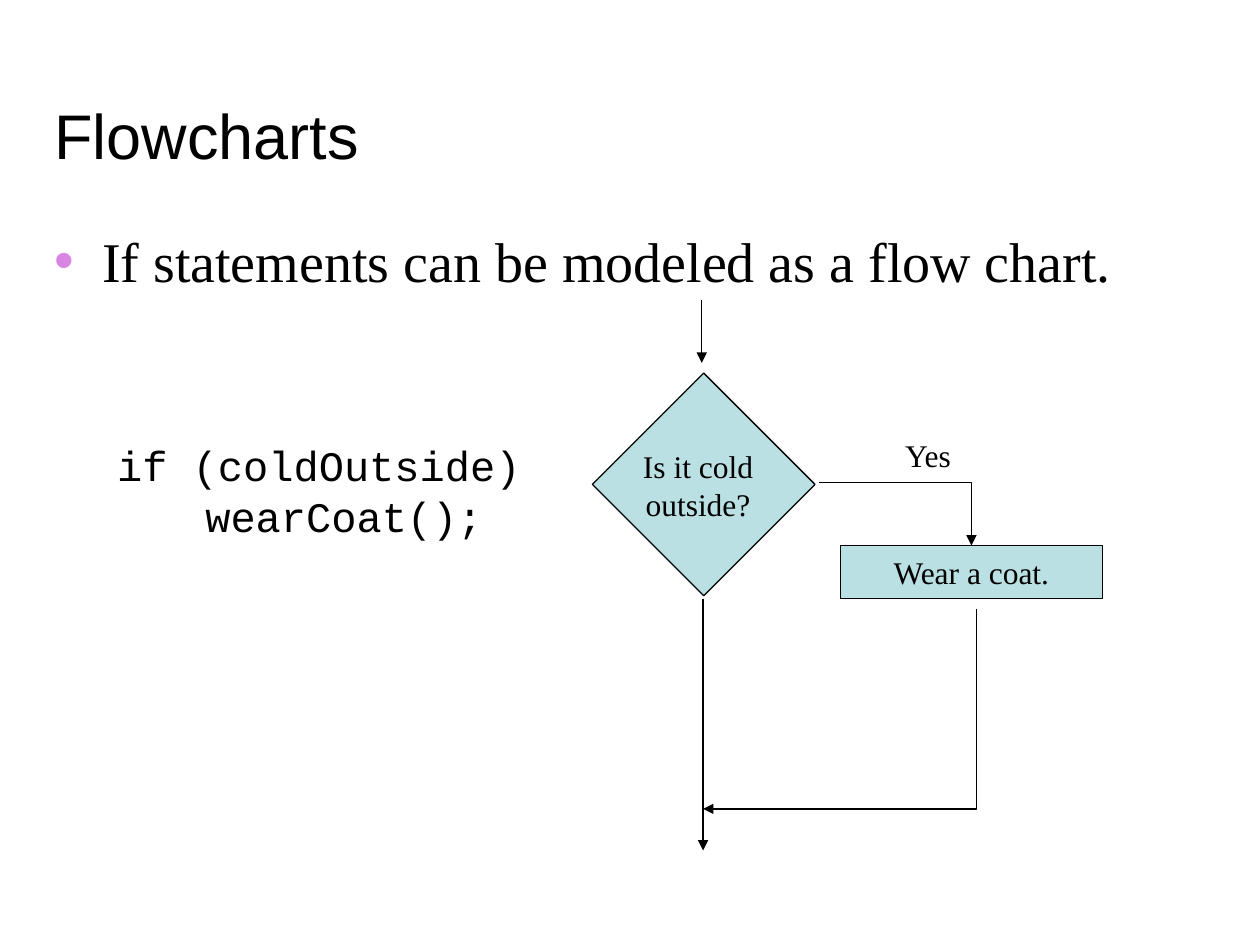
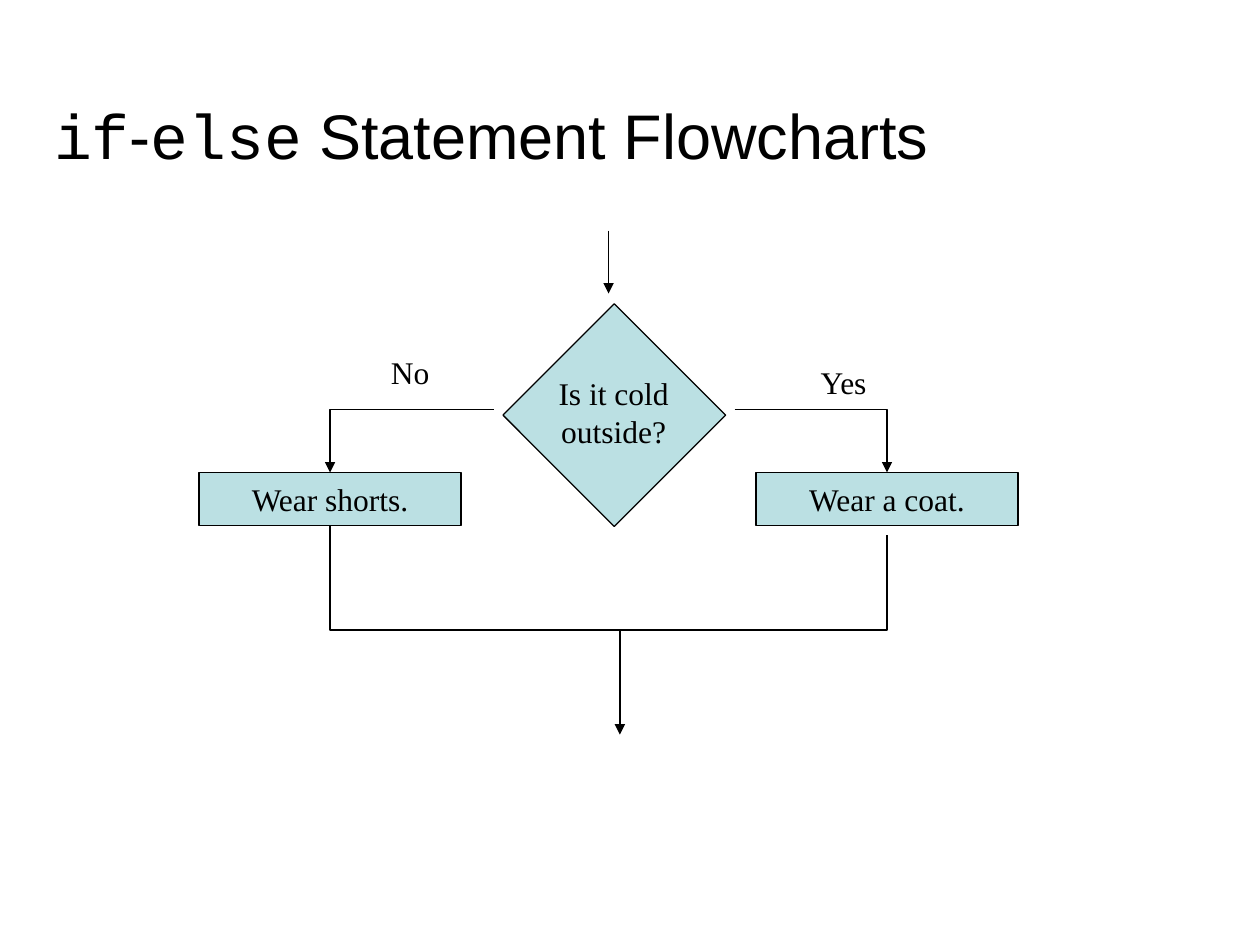
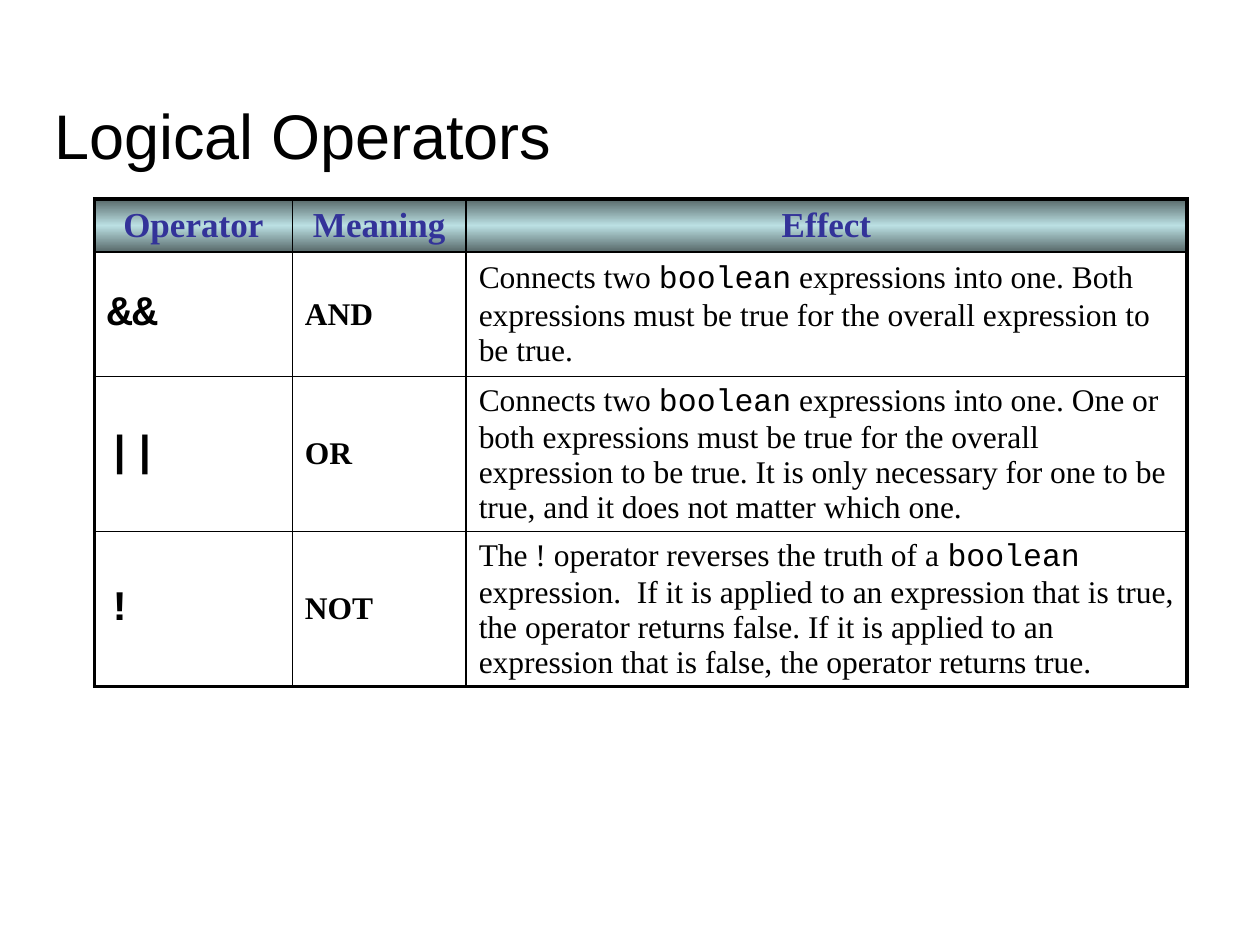
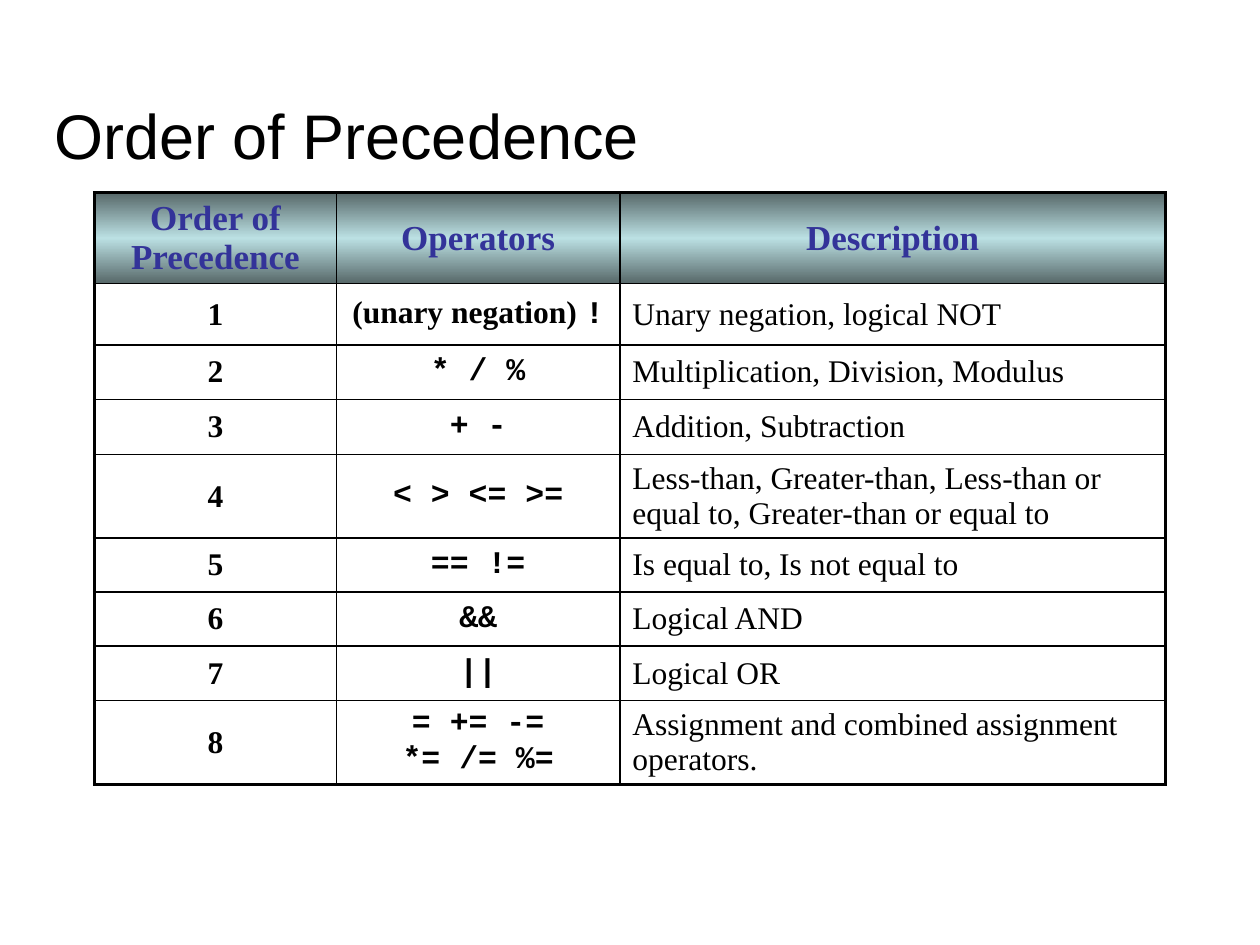
from lxml.etree import SubElement
from pptx import Presentation
from pptx.dml.color import RGBColor
from pptx.enum.shapes import MSO_CONNECTOR, MSO_SHAPE
from pptx.enum.text import MSO_ANCHOR, MSO_AUTO_SIZE, PP_ALIGN
from pptx.oxml.ns import qn
from pptx.util import Inches, Pt

COLORS = {
    "ink": "000000",
    "box": "BBE0E3",
    "box_shade": "576869",
    "heading": "333399",
    "bullet": "D885E3",
}
SERIF = "Times New Roman"
SANS = "Arial"
CODE = "Courier New"
THIN = 0.75
INNER_BORDER = 1
OUTER_BORDER = 2.25

LOGICAL_OPERATORS = [
    ("Operator", "Meaning", "Effect"),
    ("`&&`", "AND",
     "Connects two `boolean` expressions into one. Both expressions must be true "
     "for the overall expression to be true."),
    ("`||`", "OR",
     "Connects two `boolean` expressions into one. One or both expressions must be "
     "true for the overall expression to be true. It is only necessary for one to "
     "be true, and it does not matter which one."),
    ("`!`", "NOT",
     "The ! operator reverses the truth of a `boolean` expression.  If it is applied "
     "to an expression that is true, the operator returns false. If it is applied "
     "to an expression that is false, the operator returns true."),
]
PRECEDENCE = [
    ("Order of Precedence", "Operators", "Description"),
    ("1", "(unary negation) `!`", "Unary negation, logical NOT"),
    ("2", "`* / %`", "Multiplication, Division, Modulus"),
    ("3", "`+ -`", "Addition, Subtraction"),
    ("4", "`< > <= >=`",
     "Less-than, Greater-than, Less-than or equal to, Greater-than or equal to"),
    ("5", "`== !=`", "Is equal to, Is not equal to"),
    ("6", "`&&`", "Logical AND"),
    ("7", "`||`", "Logical OR"),
    ("8", "`= += -=`\n`*= /= %=`", "Assignment and combined assignment operators."),
]


def rgb(name):
    """Return the named colour."""
    return RGBColor.from_string(COLORS[name])


def write_text(frame, text, *, font=SERIF, size=18, color="ink", bold=False,
               align=PP_ALIGN.CENTER, anchor=None, wrap=None):
    """Write one paragraph a line, with parts between backticks in the code font."""
    if anchor is not None:
        frame.vertical_anchor = anchor
    if wrap is not None:
        frame.word_wrap = wrap
    for index, line in enumerate(text.split("\n")):
        paragraph = frame.paragraphs[0] if index == 0 else frame.add_paragraph()
        paragraph.alignment = align
        for position, part in enumerate(line.split("`")):
            if part:
                run = paragraph.add_run()
                run.text = part
                run.font.name = CODE if position % 2 else font
                run.font.size = Pt(size)
                run.font.bold = bold
                run.font.color.rgb = rgb(color)


def move(shape, left, top, width, height):
    """Put a shape in the given box, in inches."""
    shape.left, shape.top = Inches(left), Inches(top)
    shape.width, shape.height = Inches(width), Inches(height)


def add_titled_slide(presentation, title, layout="Title Only"):
    """Add a slide with the shared title style."""
    slide = presentation.slides.add_slide(presentation.slide_layouts.get_by_name(layout))
    move(slide.shapes.title, 0.33, 0.33, 9.42, 1.09)
    frame = slide.shapes.title.text_frame
    frame.auto_size = MSO_AUTO_SIZE.NONE
    write_text(frame, title, font=SANS, size=36, align=PP_ALIGN.LEFT,
               anchor=MSO_ANCHOR.BOTTOM)
    return slide


def fill_body(body, text, box):
    """Fill the body placeholder with one bulleted paragraph."""
    move(body, *box)
    frame = body.text_frame
    frame.auto_size = MSO_AUTO_SIZE.NONE
    frame.margin_right = 0
    write_text(frame, text, size=32, align=PP_ALIGN.LEFT)
    properties = frame.paragraphs[0]._p.get_or_add_pPr()
    properties.set("marL", str(Inches(0.38)))
    properties.set("indent", str(-Inches(0.38)))
    bullet_color = SubElement(properties, qn("a:buClr"))
    SubElement(bullet_color, qn("a:srgbClr"), val=COLORS["bullet"])
    SubElement(properties, qn("a:buFont"), typeface=SANS)
    SubElement(properties, qn("a:buChar"), char="•")


def add_label(shapes, text, box, wrap=False, **text_format):
    """Add a text box and return its frame."""
    frame = shapes.add_textbox(*map(Inches, box)).text_frame
    write_text(frame, text, wrap=wrap, **text_format)
    return frame


def add_box(shapes, box, text="", rotation=0):
    """Add an outlined flowchart box."""
    shape = shapes.add_shape(MSO_SHAPE.RECTANGLE, *map(Inches, box))
    shape.rotation = rotation
    shape.shadow.inherit = False
    shape.fill.solid()
    shape.fill.fore_color.rgb = rgb("box")
    shape.line.color.rgb = rgb("ink")
    shape.line.width = Pt(THIN)
    if text:
        write_text(shape.text_frame, text, anchor=MSO_ANCHOR.MIDDLE, wrap=False)


def add_flow(shapes, start, end, arrow="tailEnd", bent=False):
    """Add a flow line; a bent one leaves its start horizontally and turns once."""
    kind = MSO_CONNECTOR.ELBOW if bent else MSO_CONNECTOR.STRAIGHT
    connector = shapes.add_connector(kind, *map(Inches, (*start, *end)))
    connector.line.color.rgb = rgb("ink")
    connector.line.width = Pt(THIN)
    properties = connector._element.spPr
    if bent:
        properties.find(qn("a:prstGeom")).set("prst", "bentConnector2")
    if arrow:
        SubElement(properties.find(qn("a:ln")), qn("a:" + arrow), type="triangle")
    SubElement(properties, qn("a:effectLst"))


def place_question(shapes, left, top, label_offset, entry_offset):
    """Place the decision diamond, its entry arrow and its question."""
    add_box(shapes, (left, top, 1.25, 1.25), rotation=45)
    entry = left + entry_offset
    add_flow(shapes, (entry, top - 0.84), (entry, top - 0.34))
    add_label(shapes, "Is it cold\noutside?",
              (left + label_offset[0], top + label_offset[1], 1.08, 0.7))


def place_branch(shapes, left, top, action, answer, answer_box, start_offset):
    """Place an action box with its incoming elbow and the answer above it."""
    add_box(shapes, (left, top, 2.08, 0.42), action)
    add_flow(shapes, (left + start_offset, top - 0.5), (left + 1.04, top), bent=True)
    across, up, width = answer_box
    add_label(shapes, answer, (left + across, top - up, width, 0.4))


def place_coat_branch(shapes, left, top):
    """Place the branch taken when it is cold."""
    place_branch(shapes, left, top, "Wear a coat.", "Yes", (0.4, 0.92, 0.59), -0.17)


def set_cell_borders(cell, row, column, last_row, last_column):
    """Draw thick borders at the table's edge and thin ones inside."""
    properties = cell._tc.get_or_add_tcPr()
    edges = {"L": column == 0, "R": column == last_column,
             "T": row == 0, "B": row == last_row}
    for side, outer in edges.items():
        width = Pt(OUTER_BORDER if outer else INNER_BORDER)
        line = SubElement(properties, qn("a:ln" + side), w=str(width))
        fill = SubElement(line, qn("a:solidFill"))
        SubElement(fill, qn("a:srgbClr"), val=COLORS["ink"])


def fill_heading_cell(cell):
    """Shade a heading cell dark, light, dark from top to bottom."""
    gradient = SubElement(cell._tc.get_or_add_tcPr(), qn("a:gradFill"), rotWithShape="1")
    stops = SubElement(gradient, qn("a:gsLst"))
    for percent, name in ((0, "box_shade"), (50, "box"), (100, "box_shade")):
        stop = SubElement(stops, qn("a:gs"), pos=str(percent * 1000))
        SubElement(stop, qn("a:srgbClr"), val=COLORS[name])
    SubElement(gradient, qn("a:lin"), ang="5400000", scaled="1")


def place_table(slide, left, top, rows, widths, heights, key_align, key_size):
    """Place a table with shaded headings, bold key columns and a plain last column."""
    box = (left, top, sum(widths), sum(heights))
    table = slide.shapes.add_table(len(rows), len(widths), *map(Inches, box)).table
    table.first_row = table.horz_banding = False
    for column, width in zip(table.columns, widths):
        column.width = Inches(width)
    last_row, last_column = len(rows) - 1, len(widths) - 1
    for row, (height, texts) in enumerate(zip(heights, rows)):
        table.rows[row].height = Inches(height)
        for column, text in enumerate(texts):
            cell = table.cell(row, column)
            cell.vertical_anchor = MSO_ANCHOR.MIDDLE
            set_cell_borders(cell, row, column, last_row, last_column)
            if row == 0:
                fill_heading_cell(cell)
                write_text(cell.text_frame, text, size=20, color="heading", bold=True)
                continue
            cell.fill.background()
            is_key = column < last_column
            write_text(cell.text_frame, text, bold=is_key,
                       size=key_size if column == 0 else 18,
                       align=key_align if is_key else PP_ALIGN.LEFT)


def build_if_slide(presentation):
    """Build the slide on the plain if statement."""
    slide = add_titled_slide(presentation, "Flowcharts", "Title and Content")
    fill_body(slide.placeholders[1], "If statements can be modeled as a flow chart.",
              (0.33, 1.75, 9.07, 1.13))
    shapes = slide.shapes.add_group_shape().shapes
    place_coat_branch(shapes, 6.67, 4.33)
    add_flow(shapes, (5.58, 4.75), (5.58, 6.75))
    add_flow(shapes, (5.58, 6.42), (7.75, 4.83), arrow="headEnd", bent=True)
    place_question(shapes, 4.96, 3.22, (0.04, 0.28), 0.61)
    code = add_label(slide.shapes, "if (coldOutside)\nwearCoat();",
                     (0.83, 3.44, 3.4, 0.9), wrap=True, font=CODE, size=24)
    code.paragraphs[1]._p.get_or_add_pPr().set("marL", str(Inches(0.4)))


def build_if_else_slide(presentation):
    """Build the slide on the if-else statement."""
    slide = add_titled_slide(presentation, "`if`-`else` Statement Flowcharts")
    shapes = slide.shapes.add_group_shape().shapes
    place_question(shapes, 4.25, 2.67, (0.08, 0.25), 0.58)
    place_coat_branch(shapes, 6, 3.75)
    place_branch(shapes, 1.58, 3.75, "Wear shorts.", "No", (1.42, 1, 0.51), 2.34)
    junction = (4.92, 5)
    for branch_end in ((2.62, 4.17), (7.04, 4.25)):
        add_flow(shapes, junction, branch_end, arrow=None, bent=True)
    add_flow(shapes, junction, (4.92, 5.83))


def build_operators_slide(presentation):
    """Build the table of logical operators."""
    slide = add_titled_slide(presentation, "Logical Operators")
    place_table(slide, 0.75, 1.58, LOGICAL_OPERATORS, (1.57, 1.38, 5.72),
                (0.42, 0.99, 1.23, 1.23), PP_ALIGN.LEFT, 24)


def build_precedence_slide(presentation):
    """Build the table of operator precedence."""
    slide = add_titled_slide(presentation, "Order of Precedence")
    place_table(slide, 0.75, 1.53, PRECEDENCE, (1.92, 2.25, 4.33),
                (0.72, 0.49, 0.43, 0.44, 0.66, 0.43, 0.43, 0.43, 0.66),
                PP_ALIGN.CENTER, 18)


def main():
    """Build and save the presentation."""
    presentation = Presentation()
    presentation.slide_width, presentation.slide_height = Inches(10), Inches(7.5)
    build_if_slide(presentation)
    build_if_else_slide(presentation)
    build_operators_slide(presentation)
    build_precedence_slide(presentation)
    presentation.save("out.pptx")


if __name__ == "__main__":
    main()
